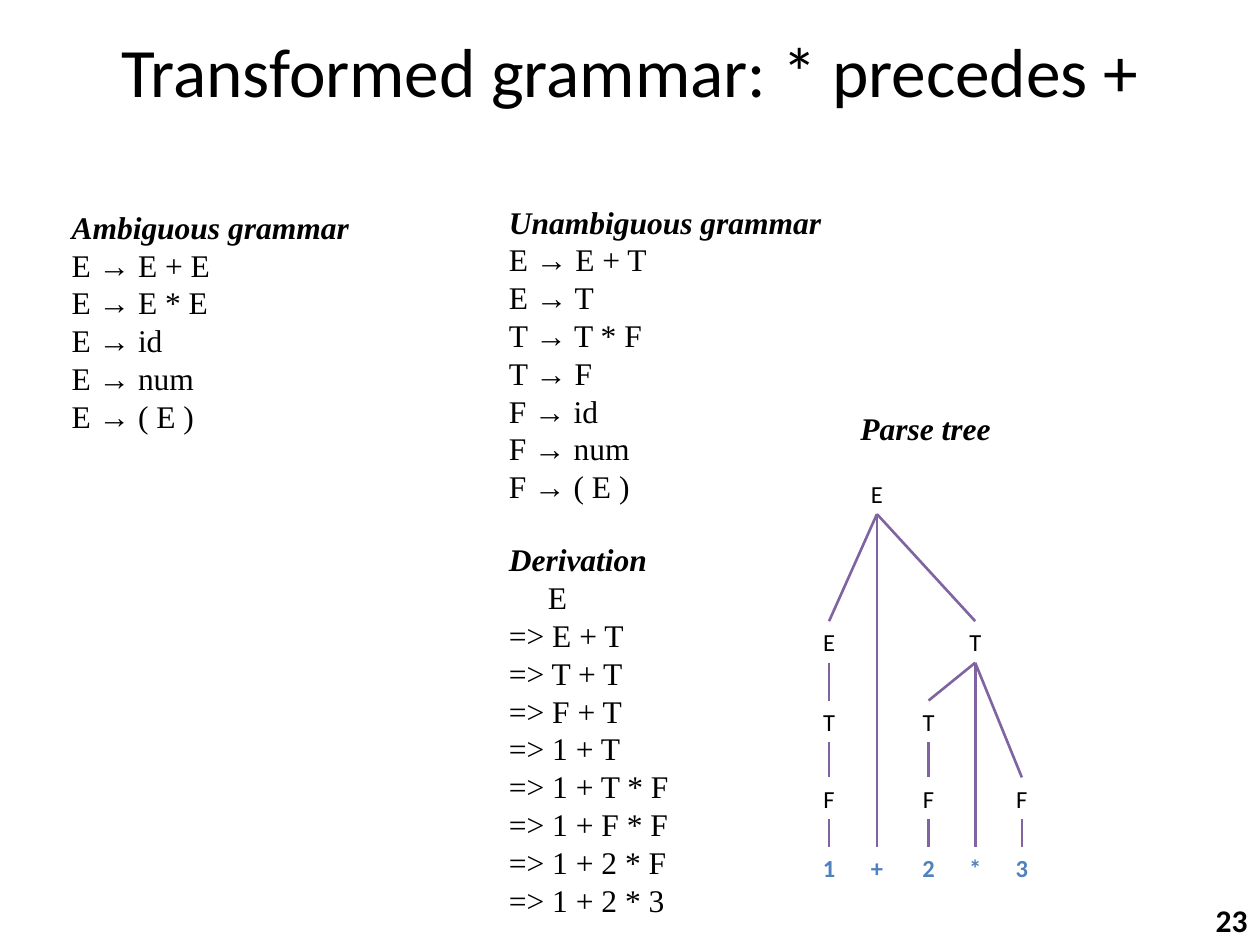
from lxml.etree import SubElement
from pptx import Presentation
from pptx.dml.color import RGBColor
from pptx.enum.shapes import MSO_CONNECTOR
from pptx.enum.text import MSO_ANCHOR, PP_ALIGN
from pptx.oxml.ns import qn
from pptx.util import Inches, Pt

COLORS = {"text": "000000", "terminal": "4F81BD", "branch": "8064A2"}
SANS, SERIF = "Calibri", "Times New Roman"
BOTTOM, TOP = 2, 0
NODE_WIDTH, NODE_HEIGHT = 0.3, 0.33


class SlideBuilder:
    def __init__(self, slide):
        self.slide = slide

    def text(self, box, lines, size=18, font=SERIF, color="text", bold=False,
             italic=False, align=PP_ALIGN.LEFT, anchor=MSO_ANCHOR.TOP, wrap=True):
        shape = self.slide.shapes.add_textbox(*(Inches(value) for value in box))
        frame = shape.text_frame
        frame.word_wrap = wrap
        frame.vertical_anchor = anchor
        for index, line in enumerate(lines):
            paragraph = frame.paragraphs[0] if index == 0 else frame.add_paragraph()
            paragraph.alignment = align
            run = paragraph.add_run()
            run.text = line
            run.font.name = font
            run.font.size = Pt(size)
            run.font.bold = bold
            run.font.italic = italic
            run.font.color.rgb = RGBColor.from_string(COLORS[color])
        return shape

    def listing(self, box, heading, lines, wrap=True):
        """A bold italic heading followed by plain lines."""
        shape = self.text(box, [heading, *lines], wrap=wrap)
        heading_font = shape.text_frame.paragraphs[0].runs[0].font
        heading_font.bold = heading_font.italic = True
        return shape

    def node(self, symbol, center, top, terminal=False):
        box = (center - NODE_WIDTH / 2, top, NODE_WIDTH, NODE_HEIGHT)
        return self.text(box, [symbol], 14, SANS, "terminal" if terminal else "text",
                         bold=terminal, align=PP_ALIGN.CENTER, wrap=False)

    def branch(self, parent, child):
        line = self.slide.shapes.add_connector(MSO_CONNECTOR.STRAIGHT, 0, 0, 0, 0)
        line.begin_connect(parent, BOTTOM)
        line.end_connect(child, TOP)
        line.line.color.rgb = RGBColor.from_string(COLORS["branch"])
        line.line.width = Pt(1.5)
        SubElement(line._element.spPr, qn("a:effectLst"))


def main():
    presentation = Presentation()
    presentation.slide_width = Inches(10)
    presentation.slide_height = Inches(7.5)
    builder = SlideBuilder(presentation.slides.add_slide(presentation.slide_layouts[6]))

    # Title
    builder.text((0.5, 0.13, 9, 0.85), ["Transformed grammar: * precedes +"], 39.6, SANS,
                 align=PP_ALIGN.CENTER, anchor=MSO_ANCHOR.MIDDLE)

    # Grammars
    builder.listing((0.47, 1.6, 2.6, 1.92), "Ambiguous grammar",
                    ["E → E + E", "E → E * E", "E → id", "E → num", "E → ( E )"])
    unambiguous = builder.listing(
        (3.94, 1.56, 2.99, 2.5), "Unambiguous grammar",
        ["E → E + T", "E → T", "T → T * F", "T → F", "F → id", "F → num", "F → ( E )"])
    for paragraph in unambiguous.text_frame.paragraphs:
        properties = paragraph._p.get_or_add_pPr()
        properties.set("marL", str(Inches(0.5)))
        properties.set("indent", str(Inches(-0.5)))

    # Derivation, with the start symbol set in past the arrows
    steps = ["E + T", "T + T", "F + T", "1 + T", "1 + T * F", "1 + F * F",
             "1 + 2 * F", "1 + 2 * 3"]
    derivation = builder.listing((3.94, 4.24, 1.48, 3.13), "Derivation",
                                 ["E", *(f"=> {step}" for step in steps)], wrap=False)
    start = derivation.text_frame.paragraphs[1]
    start._p.get_or_add_pPr().set("marL", str(Inches(0.31)))

    # Parse tree: name -> symbol, column centre, row top
    builder.text((6.73, 3.2, 1.25, 0.4), ["Parse tree"], bold=True, italic=True, wrap=False)
    columns = (6.58, 6.96, 7.37, 7.74, 8.11)
    rows = (3.75, 4.93, 5.56, 6.17, 6.72)
    layout = {
        "root": ("E", 1, 0),
        "left E": ("E", 0, 1), "right T": ("T", 3, 1),
        "left T": ("T", 0, 2), "inner T": ("T", 2, 2),
        "left F": ("F", 0, 3), "inner F": ("F", 2, 3), "right F": ("F", 4, 3),
        "1": ("1", 0, 4), "+": ("+", 1, 4), "2": ("2", 2, 4),
        "*": ("*", 3, 4), "3": ("3", 4, 4),
    }
    nodes = {name: builder.node(symbol, columns[column], rows[row], row == 4)
             for name, (symbol, column, row) in layout.items()}
    children = {
        "root": ("left E", "+", "right T"),
        "left E": ("left T",), "left T": ("left F",), "left F": ("1",),
        "right T": ("inner T", "*", "right F"),
        "inner T": ("inner F",), "inner F": ("2",), "right F": ("3",),
    }
    for parent, names in children.items():
        for name in names:
            builder.branch(nodes[parent], nodes[name])

    # Page number
    builder.text((9.49, 7.1, 0.51, 0.4), ["23"], font=SANS, bold=True, align=PP_ALIGN.RIGHT)

    presentation.save("out.pptx")


if __name__ == "__main__":
    main()
